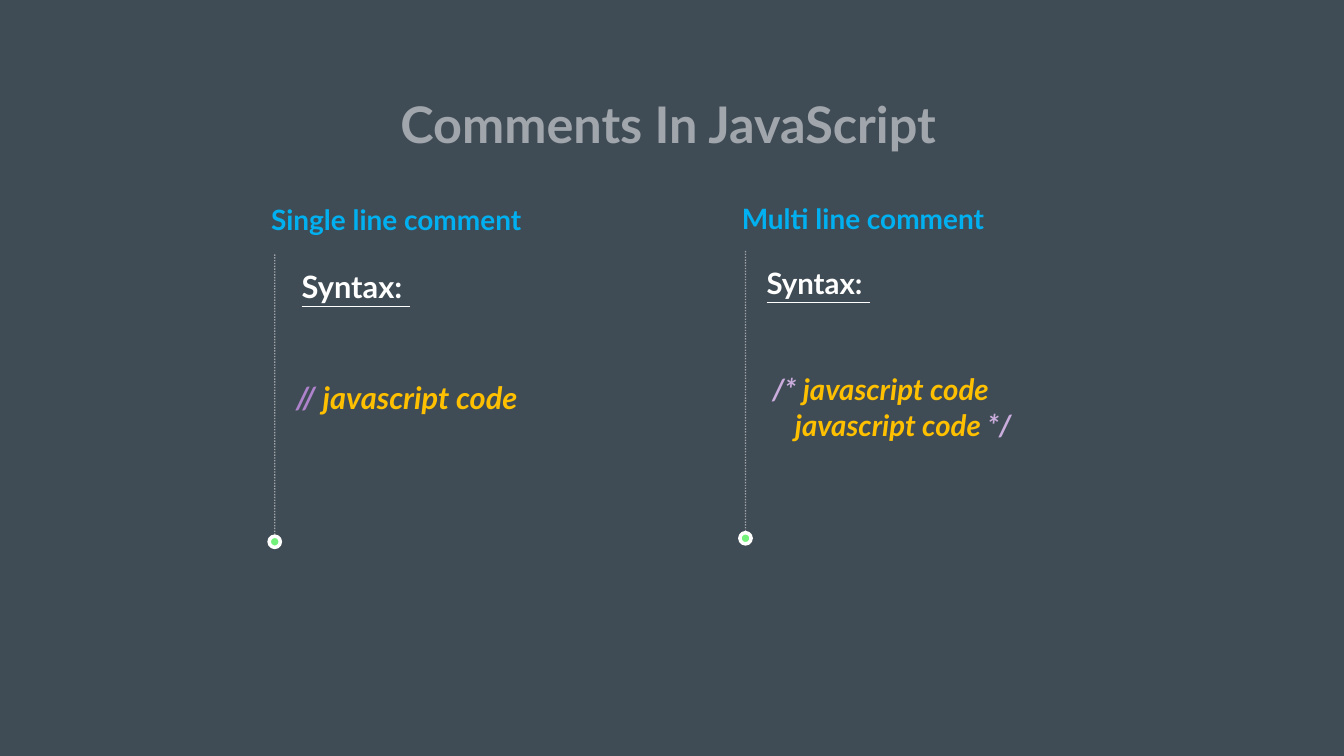
from lxml import etree
from pptx import Presentation
from pptx.dml.color import RGBColor
from pptx.enum.dml import MSO_LINE
from pptx.enum.shapes import MSO_CONNECTOR, MSO_SHAPE
from pptx.enum.text import MSO_ANCHOR, PP_ALIGN
from pptx.oxml.ns import qn
from pptx.util import Pt

FONT = "Lato"
WHITE, BLUE, YELLOW, GREY = "FFFFFF", "00B0F0", "FFC000", "A1A6AC"
LINE_LENGTH = 413
DOT_SIZE = 16


def color(value):
    return RGBColor.from_string(value)


def add_text_box(slide, left, top, width, height, inset=0, anchor=MSO_ANCHOR.TOP):
    frame = slide.shapes.add_textbox(Pt(left), Pt(top), Pt(width), Pt(height)).text_frame
    frame.word_wrap = True
    frame.vertical_anchor = anchor
    frame.margin_left = frame.margin_right = Pt(inset)
    frame.margin_top = frame.margin_bottom = Pt(inset)
    return frame


def add_run(paragraph, text, size, value, italic=False, underline=False):
    run = paragraph.add_run()
    run.text = text
    font = run.font
    font.name, font.size, font.bold = FONT, Pt(size), True
    font.italic, font.underline = italic, underline
    font.color.rgb = color(value)


def indent(paragraph, distance):
    paragraph._p.get_or_add_pPr().set("marL", str(Pt(distance)))


def add_title(slide, text):
    frame = add_text_box(slide, 164, 149, 1581, 70, anchor=MSO_ANCHOR.MIDDLE)
    paragraph = frame.paragraphs[0]
    paragraph.alignment = PP_ALIGN.CENTER
    paragraph.line_spacing = 0.8
    add_run(paragraph, text, 72, GREY)


def add_heading(slide, left, top, text):
    frame = add_text_box(slide, left, top, 404, 60.5, 5.76, MSO_ANCHOR.MIDDLE)
    paragraph = frame.paragraphs[0]
    paragraph.line_spacing = 1.1
    add_run(paragraph, text, 40, BLUE)


def add_dotted_line(slide, x, top):
    connector = slide.shapes.add_connector(
        MSO_CONNECTOR.STRAIGHT, Pt(x), Pt(top + LINE_LENGTH), Pt(x), Pt(top))
    line = connector.line
    line.width = Pt(2)
    line.color.rgb = color(WHITE)
    line.dash_style = MSO_LINE.ROUND_DOT
    properties = connector._element.spPr
    fill = properties.find(".//" + qn("a:srgbClr"))
    etree.SubElement(fill, qn("a:alpha")).set("val", "50000")
    etree.SubElement(properties, qn("a:effectLst"))


def add_dot(slide, x, y):
    dot = slide.shapes.add_shape(
        MSO_SHAPE.OVAL, Pt(x - DOT_SIZE / 2), Pt(y - DOT_SIZE / 2), Pt(DOT_SIZE), Pt(DOT_SIZE))
    dot.shadow.inherit = False
    dot.fill.solid()
    dot.fill.fore_color.rgb = color("73F17A")
    dot.line.color.rgb = color(WHITE)
    dot.line.width = Pt(5)


def add_syntax(slide, left, top, size, label_indent, code_lines):
    frame = add_text_box(slide, left, top, 450, 260)
    label = frame.paragraphs[0]
    indent(label, label_indent)
    add_run(label, "Syntax: ", size, WHITE, underline=True)
    for number, (distance, runs) in enumerate(code_lines):
        paragraph = frame.add_paragraph()
        indent(paragraph, distance)
        if number == 0:
            paragraph.space_before = Pt(2.4 * size)  # two lines of space
        for text, value in runs:
            add_run(paragraph, text, size, value, italic=True)


def add_column(slide, x, heading_top, line_top, body_top, heading, size, label_indent, code_lines):
    add_dotted_line(slide, x, line_top)
    add_heading(slide, x - 11, heading_top, heading)
    add_dot(slide, x, line_top + LINE_LENGTH - 2)
    add_syntax(slide, x + 30, body_top, size, label_indent, code_lines)


def main():
    presentation = Presentation()
    presentation.slide_width, presentation.slide_height = Pt(1920), Pt(1080)
    slide = presentation.slides.add_slide(presentation.slide_layouts[6])
    slide.background.fill.solid()
    slide.background.fill.fore_color.rgb = color("404C55")

    # Two kinds of comment
    add_column(slide, 392.5, 280, 363, 382.3, "Single line comment", 44, 8.5, [
        (0, [("// ", "AF82CC"), ("javascript code", YELLOW)]),
    ])
    add_column(slide, 1065, 278.6, 358, 379.4, "Multi line comment", 42, 0, [
        (8, [("/* ", "CAACDD"), ("javascript code", YELLOW)]),
        (40.5, [("javascript code ", YELLOW), ("*/", "CAACDD")]),
    ])

    # Title
    add_title(slide, "Comments In JavaScript")
    presentation.save("out.pptx")


if __name__ == "__main__":
    main()
